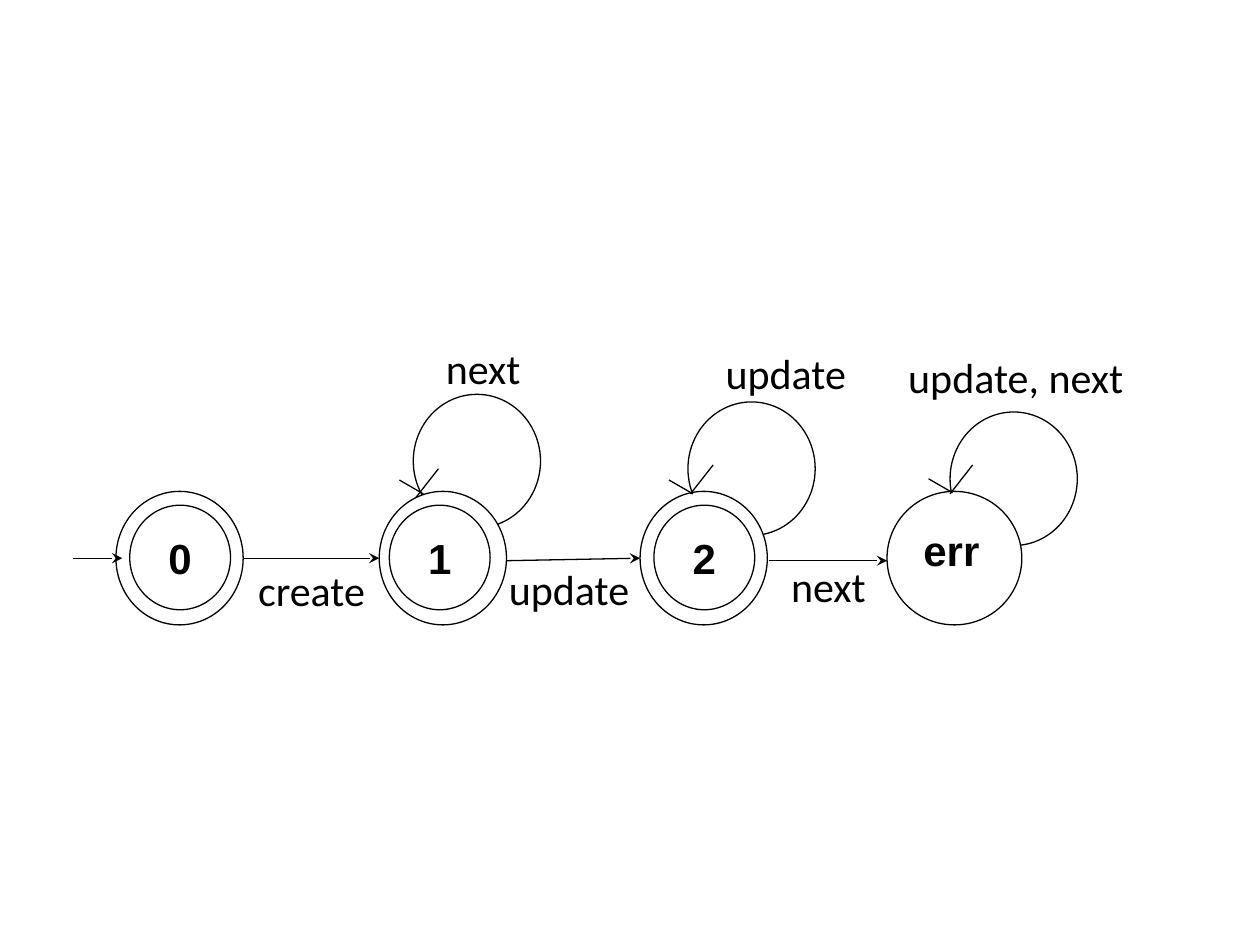
from dataclasses import dataclass

from lxml import etree
from pptx import Presentation
from pptx.dml.color import RGBColor
from pptx.enum import shapes, text
from pptx.oxml import ns
from pptx.util import Inches, Pt


@dataclass(frozen=True)
class Theme:
    ink: RGBColor = RGBColor(0, 0, 0)
    paper: RGBColor = RGBColor(255, 255, 255)
    size: Pt = Pt(24)
    line: Pt = Pt(0.75)
    state_font: str = "Arial"
    label_font: str = "Calibri"


THEME = Theme()
DIAMETER = (1.01, 1.06)
RING = (0.8, 0.83)
WINGS = ((-0.19, -0.11), (0.18, -0.23))


def style_text(p, font, bold=False):
    p.font.name = font
    p.font.size = THEME.size
    p.font.bold = bold
    p.font.color.rgb = THEME.ink


def circle(s, x, y, size):
    sp = s.shapes.add_shape(shapes.MSO_SHAPE.OVAL, *map(Inches, (x, y, *size)))
    sp.shadow.inherit = False
    sp.fill.solid()
    sp.fill.fore_color.rgb = THEME.paper
    sp.line.color.rgb = THEME.ink
    sp.line.width = THEME.line
    return sp


def line(s, start, end, arrow=False):
    cx = s.shapes.add_connector(
        shapes.MSO_CONNECTOR.STRAIGHT, *map(Inches, (*start, *end)))
    cx.line.color.rgb = THEME.ink
    cx.line.width = THEME.line
    if arrow:
        etree.SubElement(cx.line._get_or_add_ln(), ns.qn("a:tailEnd"), type="stealth")
    etree.SubElement(cx._element.spPr, ns.qn("a:effectLst"))


def label(s, box, words, font=THEME.label_font, bold=False, wrap=True):
    tf = s.shapes.add_textbox(*map(Inches, box)).text_frame
    tf.word_wrap = wrap
    p = tf.paragraphs[0]
    p.text = words
    style_text(p, font, bold)


def accepting_state(s, x, y, name, inset=0.11):
    circle(s, x, y, DIAMETER)
    tf = circle(s, x + inset, y + 0.11, RING).text_frame
    tf.margin_left = tf.margin_right = tf.margin_top = tf.margin_bottom = 0
    tf.vertical_anchor = text.MSO_ANCHOR.MIDDLE
    p = tf.paragraphs[0]
    p.text = name
    p.alignment = text.PP_ALIGN.CENTER
    style_text(p, THEME.state_font, bold=True)


def error_state(s, x, y, name):
    circle(s, x, y, (1.07, DIAMETER[1]))
    label(s, (x + 0.19, y + 0.21, 0.65, 0.5), name,
          THEME.state_font, bold=True, wrap=False)


def loop_head(s, *starts):
    for (x, y), (dx, dy) in zip(starts, WINGS):
        line(s, (x, y), (x + dx, y + dy))


def automaton(s, x, y):
    for dx, dy in ((2.36, -0.77), (4.54, -0.71), (6.62, -0.63)):
        circle(s, x + dx, y + dy, DIAMETER)

    for dx, name, inset in ((0, "0", 0.11), (2.09, "1", 0.08), (4.16, "2", 0.11)):
        accepting_state(s, x + dx, y, name, inset)
    error_state(s, x + 6.12, y, "err")

    for left, right in (((2.44, 0.02), (2.38, 0.05)),
                        ((4.58, 0.02), (4.56, 0.02)),
                        ((6.64, 0.01), (6.62, 0.02))):
        loop_head(s, *((x + dx, y + dy) for dx, dy in (left, right)))

    for x1, y1, x2, y2 in ((-0.34, 0.53, 0.05, 0.53),
                           (1.01, 0.53, 2.09, 0.53),
                           (3.1, 0.55, 4.16, 0.53),
                           (5.18, 0.55, 6.12, 0.55)):
        line(s, (x + x1, y + y1), (x + x2, y + y2), arrow=True)

    for dx, dy, width, words in ((1.03, 0.53, 1.27, "create"),
                                 (3.02, 0.52, 1.45, "update"),
                                 (5.26, 0.5, 1.25, "next"),
                                 (2.52, -1.23, 1.22, "next"),
                                 (4.74, -1.19, 1.45, "update"),
                                 (6.19, -1.16, 1.97, "update, next")):
        label(s, (x + dx, y + dy, width, 0.5), words)


prs = Presentation()
prs.slide_width, prs.slide_height = Inches(10), Inches(7.5)
slide = prs.slides.add_slide(prs.slide_layouts[6])
automaton(slide, 0.92, 3.9)
prs.save("out.pptx")
